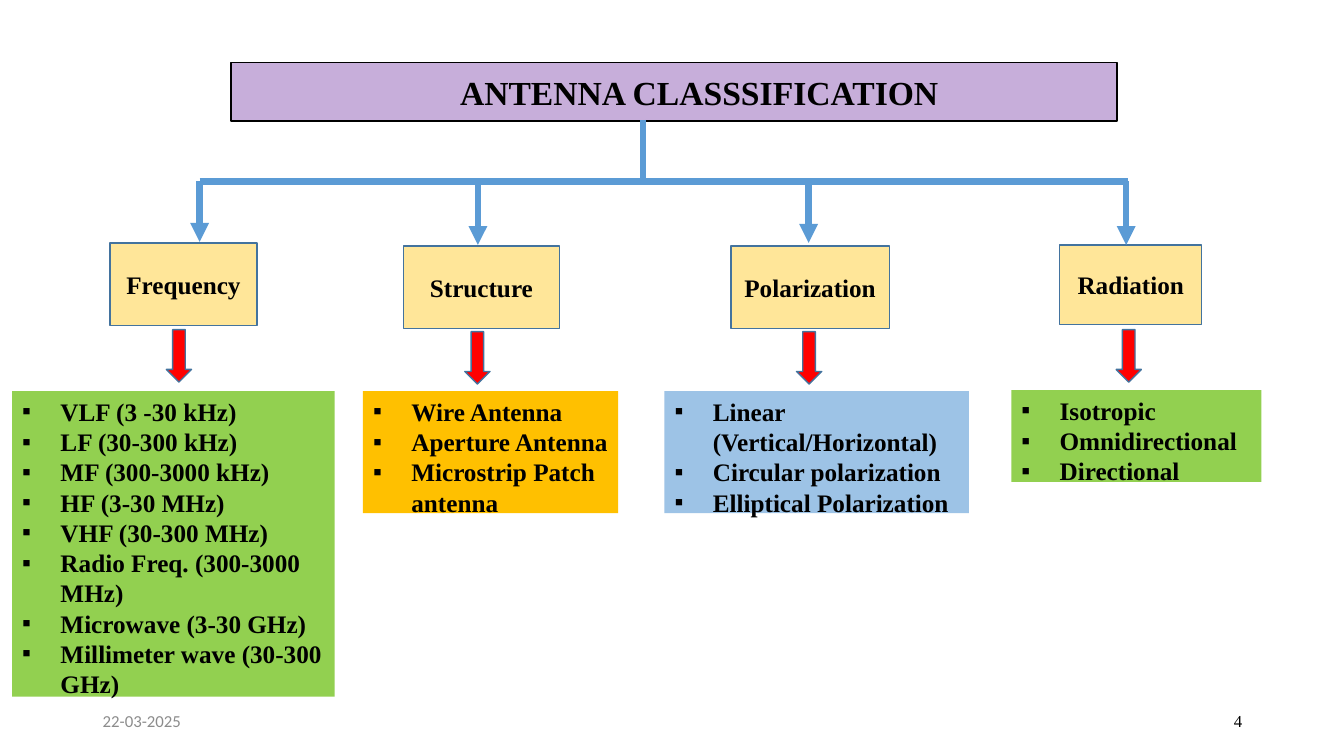
"""Build the antenna classification slide."""
import pptx
import pptx.dml.color
import pptx.enum.shapes
import pptx.enum.text
import pptx.oxml.ns
import pptx.util
from lxml import etree

Inches, Pt = pptx.util.Inches, pptx.util.Pt
qn = pptx.oxml.ns.qn
SHAPES = pptx.enum.shapes.MSO_SHAPE
ALIGN = pptx.enum.text.PP_ALIGN
ANCHOR = pptx.enum.text.MSO_ANCHOR
AUTO = pptx.enum.text.MSO_AUTO_SIZE
SERIF = "Times New Roman"
COLORS = {
    "black": "000000", "grey": "8C8C8C", "purple": "7030A0",
    "cream": "FFE699", "edge": "43739E", "red": "FF0000", "line": "5B9BD5",
    "green": "92D050", "amber": "FFC000", "blue": "9DC3E6",
}
BUS_Y = 1.8
BRANCHES = [
    {"name": "Frequency", "box": (1.09, 2.41, 1.46, 0.82), "stem": (1.98, 2.4),
     "arrow": (1.65, 3.27), "list": (0.12, 3.88, 3.2, 3.13), "fill": "green",
     "items": ["VLF (3 -30 kHz)", "LF (30-300 kHz)", "MF (300-3000 kHz)",
               "HF (3-30 MHz)", "VHF (30-300 MHz)",
               "Radio Freq. (300-3000 MHz)", "Microwave (3-30 GHz)",
               "Millimeter wave (30-300 GHz)"]},
    {"name": "Structure", "box": (4, 2.44, 1.55, 0.82), "stem": (4.74, 2.43),
     "arrow": (4.61, 3.29), "list": (3.6, 3.88, 2.53, 1.31), "fill": "amber",
     "items": ["Wire Antenna", "Aperture Antenna", "Microstrip Patch antenna"]},
    {"name": "Polarization", "box": (7.25, 2.44, 1.57, 0.82), "stem": (8.02, 2.41),
     "arrow": (7.9, 3.29), "list": (6.59, 3.88, 3.02, 1.31), "fill": "blue",
     "items": ["Linear (Vertical/Horizontal)", "Circular polarization",
               "Elliptical Polarization"]},
    {"name": "Radiation", "box": (10.51, 2.43, 1.41, 0.79), "stem": (11.17, 2.43),
     "arrow": (11.07, 3.27), "list": (10.03, 3.87, 2.48, 1.01), "fill": "green",
     "items": ["Isotropic", "Omnidirectional", "Directional"]},
]


def rgb(name):
    return pptx.dml.color.RGBColor.from_string(COLORS[name])


def place(sp, box):
    sp.left, sp.top, sp.width, sp.height = map(Inches, box)


def paint(sp, fill, line=None):
    sp.fill.solid()
    sp.fill.fore_color.rgb = rgb(fill)
    if line:
        sp.line.color.rgb = rgb(line)
        sp.line.width = Pt(1)


def write(p, text, size=18, bold=True, color="black", font=SERIF, align=ALIGN.LEFT):
    p.alignment = align
    r = p.add_run()
    r.text = text
    r.font.name, r.font.size, r.font.bold = font, Pt(size), bold
    r.font.color.rgb = rgb(color)


def add_title(slide, text):
    sp = slide.shapes.title
    place(sp, (2.29, 0.62, 8.79, 0.58))
    paint(sp, "purple", "black")
    srgb = sp.fill._xPr.find(".//" + qn("a:srgbClr"))
    etree.SubElement(srgb, qn("a:alpha"), val="39000")
    tf = sp.text_frame
    tf.auto_size = AUTO.NONE
    tf.vertical_anchor = ANCHOR.MIDDLE
    tf.margin_left = Inches(0.6)
    write(tf.paragraphs[0], text, 24, align=ALIGN.CENTER)


def add_shape(slide, kind, box, fill):
    sp = slide.shapes.add_shape(kind, *map(Inches, box))
    sp.shadow.inherit = False
    paint(sp, fill, "edge")
    return sp


def add_box(slide, box, text):
    tf = add_shape(slide, SHAPES.RECTANGLE, box, "cream").text_frame
    tf.word_wrap = True
    tf.margin_left = tf.margin_right = Inches(0.05)
    tf.vertical_anchor = ANCHOR.MIDDLE
    write(tf.paragraphs[0], text, align=ALIGN.CENTER)


def add_list(sp, box, fill, items):
    place(sp, box)
    paint(sp, fill)
    tf = sp.text_frame
    tf.word_wrap = True
    tf.auto_size = AUTO.SHAPE_TO_FIT_TEXT
    tf.vertical_anchor = ANCHOR.TOP
    for i, item in enumerate(items):
        p = tf.add_paragraph() if i else tf.paragraphs[0]
        pPr = p._p.get_or_add_pPr()
        pPr.set("marL", str(Inches(0.38)))
        pPr.set("indent", str(-Inches(0.38)))
        etree.SubElement(pPr, qn("a:buFont"), typeface="Arial")
        etree.SubElement(pPr, qn("a:buChar"), char="▪")
        p.space_before = Pt(0)
        write(p, item)


def add_line(slide, x1, y1, x2, y2, arrow=False):
    kind = pptx.enum.shapes.MSO_CONNECTOR.STRAIGHT
    cxn = slide.shapes.add_connector(kind, *map(Inches, (x1, y1, x2, y2)))
    cxn.line.color.rgb = rgb("line")
    cxn.line.width = Pt(4.5)
    if arrow:
        etree.SubElement(cxn.line._get_or_add_ln(), qn("a:tailEnd"), type="triangle")
    etree.SubElement(cxn._element.spPr, qn("a:effectLst"))


def add_footer(slide, left, text, **style):
    sp = slide.shapes.add_textbox(*map(Inches, (left, 6.95, 3, 0.4)))
    tf = sp.text_frame
    tf.word_wrap = True
    tf.vertical_anchor = ANCHOR.MIDDLE
    write(tf.paragraphs[0], text, 12, False, **style)


def main():
    prs = pptx.Presentation()
    prs.slide_width, prs.slide_height = Inches(13.33), Inches(7.5)
    slide = prs.slides.add_slide(prs.slide_layouts.get_by_name("Comparison"))
    add_title(slide, "ANTENNA CLASSSIFICATION")
    bodies = list(slide.placeholders)[1:]
    for branch, body in zip(BRANCHES, bodies):
        add_box(slide, branch["box"], branch["name"])
        add_list(body, branch["list"], branch["fill"], branch["items"])
        add_shape(slide, SHAPES.DOWN_ARROW, (*branch["arrow"], 0.25, 0.52), "red")
        x, tip = branch["stem"]
        add_line(slide, x, BUS_Y, x, tip, arrow=True)
    add_line(slide, 1.98, BUS_Y, 11.19, BUS_Y)
    add_line(slide, 6.38, 1.19, 6.38, BUS_Y)
    add_footer(slide, 0.92, "22-03-2025", color="grey", font="Calibri")
    add_footer(slide, 9.42, "4", align=ALIGN.RIGHT)
    prs.save("out.pptx")


if __name__ == "__main__":
    main()
